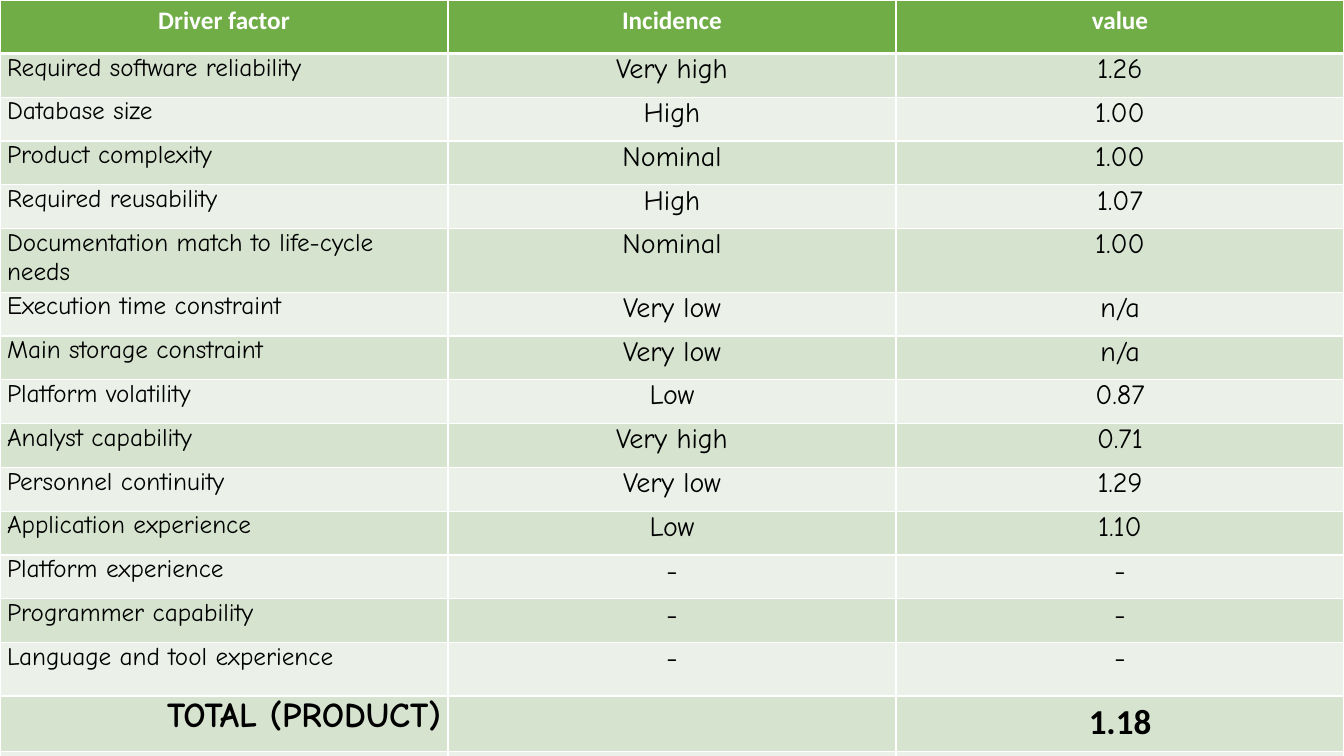
from lxml import etree
from pptx import Presentation
from pptx.dml.color import RGBColor
from pptx.enum.text import PP_ALIGN
from pptx.oxml.ns import qn
from pptx.util import Inches, Pt

LEFT, CENTER, RIGHT = PP_ALIGN.LEFT, PP_ALIGN.CENTER, PP_ALIGN.RIGHT
WHITE = RGBColor(0xFF, 0xFF, 0xFF)
BLACK = RGBColor(0, 0, 0)
GREEN = RGBColor(0x70, 0xAD, 0x47)
BANDS = (RGBColor(0xEB, 0xF1, 0xE9), RGBColor(0xD5, 0xE3, 0xCF))
HEADING_FONT, BODY_FONT = "Calibri", "Comic Neue"

# Content
HEADINGS = ("Driver factor", "Incidence", "value")
DRIVERS = [
    ("Required software reliability", "Very high", "1.26"),
    ("Database size", "High", "1.00"),
    ("Product complexity", "Nominal", "1.00"),
    ("Required reusability", "High", "1.07"),
    ("Documentation match to life-cycle needs", "Nominal", "1.00"),
    ("Execution time constraint", "Very low", "n/a"),
    ("Main storage constraint", "Very low", "n/a"),
    ("Platform volatility", "Low", "0.87"),
    ("Analyst capability", "Very high", "0.71"),
    ("Personnel continuity", "Very low", "1.29"),
    ("Application experience", "Low", "1.10"),
    ("Platform experience", "-", "-"),
    ("Programmer capability", "-", "-"),
    ("Language and tool experience", "-", "-"),
]
TOTAL = ("TOTAL (PRODUCT)", "", "1.18")
ROWS = [HEADINGS, *DRIVERS, TOTAL, ("", "", "")]
TOTAL_ROW = len(DRIVERS) + 1

# Layout: the rows without a height of their own share what is left
SLIDE_WIDTH, SLIDE_HEIGHT = 13.33, 7.5
TABLE_HEIGHT = 7.88
SPECIAL_HEIGHTS = {0: 0.53, 5: 0.63, 14: 0.53, TOTAL_ROW: 0.55, 16: 0.42}
REGULAR_HEIGHT = ((TABLE_HEIGHT - sum(SPECIAL_HEIGHTS.values()))
                  / (len(ROWS) - len(SPECIAL_HEIGHTS)))


def text_style(row, column):
    """Return font, size, bold, colour and alignment of a cell."""
    if row == 0:
        return HEADING_FONT, 18, True, WHITE, CENTER
    if row == TOTAL_ROW:
        if column == 0:
            return BODY_FONT, 25, True, BLACK, RIGHT
        return HEADING_FONT, 25, True, BLACK, CENTER
    if column == 0:
        return BODY_FONT, 18, False, BLACK, LEFT
    return BODY_FONT, 20, False, BLACK, CENTER


def set_borders(cell, bottom_width):
    properties = cell._tc.get_or_add_tcPr()
    widths = {"a:lnL": 1, "a:lnR": 1, "a:lnT": 1, "a:lnB": bottom_width}
    for position, (side, width) in enumerate(widths.items()):
        line = etree.Element(qn(side), w=str(Pt(width)))
        fill = etree.SubElement(line, qn("a:solidFill"))
        etree.SubElement(fill, qn("a:srgbClr"), val=str(WHITE))
        properties.insert(position, line)


def write_text(cell, text, row, column):
    font, size, bold, color, alignment = text_style(row, column)
    para = cell.text_frame.paragraphs[0]
    para.alignment = alignment
    span = para.add_run()
    span.text = text
    span.font.name = font
    span.font.size = Pt(size)
    span.font.bold = bold
    span.font.color.rgb = color
    if font == BODY_FONT:
        cell.margin_left = cell.margin_right = Inches(0.07)
        cell.margin_top = cell.margin_bottom = 0


# Slide
deck = Presentation()
deck.slide_width = Inches(SLIDE_WIDTH)
deck.slide_height = Inches(SLIDE_HEIGHT)
page = deck.slides.add_slide(deck.slide_layouts[6])

# Cost driver table
drivers_table = page.shapes.add_table(
    len(ROWS), len(HEADINGS), 0, 0,
    Inches(SLIDE_WIDTH), Inches(TABLE_HEIGHT)).table
for column in drivers_table.columns:
    column.width = Inches(SLIDE_WIDTH / len(HEADINGS))

for row, texts in enumerate(ROWS):
    drivers_table.rows[row].height = Inches(
        SPECIAL_HEIGHTS.get(row, REGULAR_HEIGHT))
    for column, text in enumerate(texts):
        cell = drivers_table.cell(row, column)
        cell.fill.solid()
        cell.fill.fore_color.rgb = GREEN if row == 0 else BANDS[row % 2]
        set_borders(cell, 3 if row == 0 else 1)
        if text:
            write_text(cell, text, row, column)

deck.save("out.pptx")
